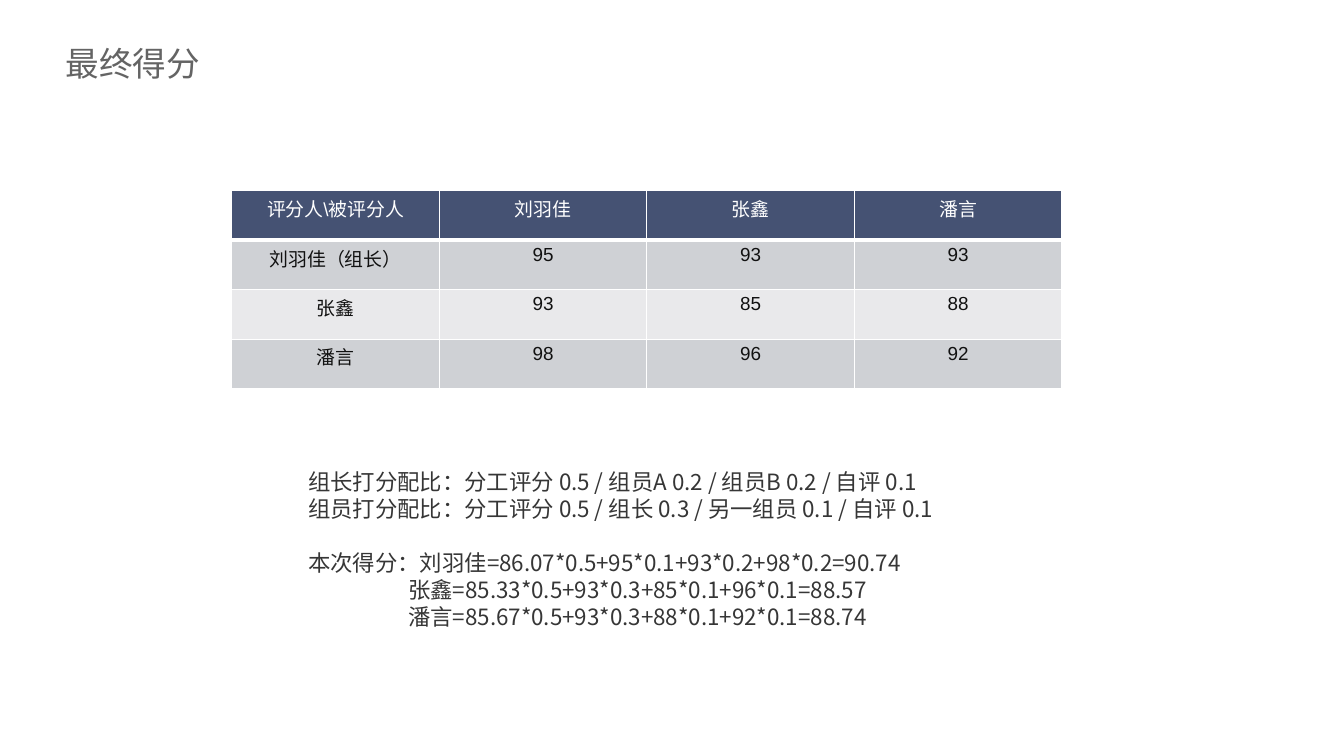
from lxml.etree import SubElement
from pptx import Presentation
from pptx.dml.color import RGBColor
from pptx.enum.text import MSO_ANCHOR as Anchor, MSO_AUTO_SIZE as AutoSize, PP_ALIGN as Align
from pptx.oxml.ns import qn
from pptx.util import Cm, Pt

# Content
TITLE = "最终得分"
SCORES = [
    ("评分人\\被评分人", "刘羽佳", "张鑫", "潘言"),
    ("刘羽佳（组长）", "95", "93", "93"),
    ("张鑫", "93", "85", "88"),
    ("潘言", "98", "96", "92"),
]
# Each line: text, left indent in cm, space before in points
NOTES = [
    ("组长打分配比：分工评分 0.5 / 组员A 0.2 / 组员B 0.2 / 自评 0.1", 0, 0),
    ("组员打分配比：分工评分 0.5 / 组长 0.3 / 另一组员 0.1 / 自评 0.1", 0, 0),
    ("本次得分：刘羽佳=86.07*0.5+95*0.1+93*0.2+98*0.2=90.74", 0, 19.2),
    ("张鑫=85.33*0.5+93*0.3+85*0.1+96*0.1=88.57", 2.52, 0),
    ("潘言=85.67*0.5+93*0.3+88*0.1+92*0.1=88.74", 2.52, 0),
]
CJK_FONT = "Noto Sans CJK SC"
HEADER_FILL, BAND_FILLS = "455273", ("E9E9EB", "CFD1D5")
WHITE = "FFFFFF"
COLUMN_WIDTH, ROW_HEIGHT = 5.23, 1.245


def color(value):
    return RGBColor.from_string(value)


def add_span(para, text, size, hue, font=CJK_FONT):
    span = para.add_run()
    span.text = text
    span.font.size = Pt(size)
    span.font.name = font
    span.font.color.rgb = color(hue)
    SubElement(span._r.get_or_add_rPr(), qn("a:ea"), typeface=CJK_FONT)


def add_box(slide, left, top, width, height):
    box = slide.shapes.add_textbox(Cm(left), Cm(top), Cm(width), Cm(height))
    box.text_frame.word_wrap = True
    return box.text_frame


def set_borders(cell, bottom):
    props = cell._tc.get_or_add_tcPr()
    for side, points in (("L", 1), ("R", 1), ("T", 1), ("B", bottom)):
        line = SubElement(props, qn(f"a:ln{side}"), w=str(Pt(points)))
        fill = SubElement(line, qn("a:solidFill"))
        SubElement(fill, qn("a:srgbClr"), val=WHITE)


def add_scores(slide):
    rows, columns = len(SCORES), len(SCORES[0])
    table = slide.shapes.add_table(
        rows, columns, Cm(5.84), Cm(4.81),
        Cm(columns * COLUMN_WIDTH), Cm(rows * ROW_HEIGHT)).table
    for column in table.columns:
        column.width = Cm(COLUMN_WIDTH)
    for r, values in enumerate(SCORES):
        table.rows[r].height = Cm(ROW_HEIGHT)
        header = r == 0
        for c, value in enumerate(values):
            cell = table.cell(r, c)
            cell.margin_left = cell.margin_right = Cm(0.18)
            cell.margin_top = cell.margin_bottom = Cm(0.1)
            set_borders(cell, 3 if header else 1)
            cell.fill.solid()
            cell.fill.fore_color.rgb = color(HEADER_FILL if header else BAND_FILLS[r % 2])
            para = cell.text_frame.paragraphs[0]
            para.alignment = Align.CENTER
            add_span(para, value, 13.5, WHITE if header else "111111", "Arial")


def main():
    deck = Presentation()
    deck.slide_width, deck.slide_height = Cm(33.87), Cm(19.05)
    page = deck.slides.add_slide(deck.slide_layouts[6])

    # Title
    title = add_box(page, 1.65, 0.76, 20.5, 1.65)
    title.margin_left = title.margin_right = 0
    title.vertical_anchor = Anchor.MIDDLE
    add_span(title.paragraphs[0], TITLE, 24, "646464")

    # Score table
    add_scores(page)

    # Weights and results
    notes = add_box(page, 7.52, 11.68, 18.82, 4.37)
    notes.auto_size = AutoSize.SHAPE_TO_FIT_TEXT
    for i, (text, indent, gap) in enumerate(NOTES):
        para = notes.paragraphs[0] if i == 0 else notes.add_paragraph()
        if indent:
            para._p.get_or_add_pPr().set("marL", str(Cm(indent)))
        if gap:
            para.space_before = Pt(gap)
        add_span(para, text, 16, "363636")

    deck.save("out.pptx")


if __name__ == "__main__":
    main()
